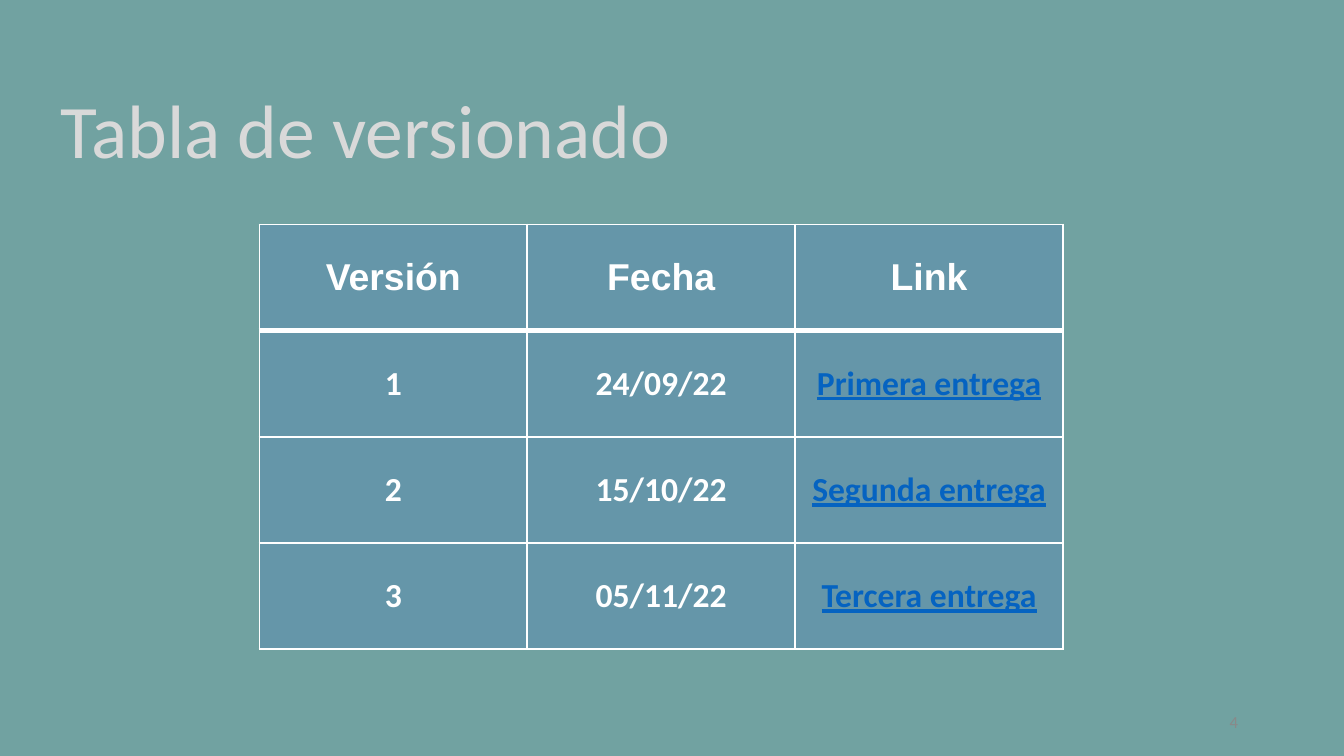
from lxml.etree import SubElement
from pptx import Presentation
from pptx.dml.color import RGBColor
from pptx.enum.text import MSO_ANCHOR as Anchor, PP_ALIGN as Align
from pptx.oxml import parse_xml
from pptx.oxml.ns import nsdecls, qn
from pptx.util import Inches, Pt

WHITE = "FFFFFF"
LINK = "0563C1"
ROWS = [
    ("Versión", "Fecha", "Link"),
    ("1", "24/09/22", "Primera entrega"),
    ("2", "15/10/22", "Segunda entrega"),
    ("3", "05/11/22", "Tercera entrega"),
]


def rgb(value):
    return RGBColor.from_string(value)


class Deck:
    """Holds the style and the current slide, and adds elements to it."""

    font = "Calibri"
    header_font = "Arial"
    cell_fill = "5A8AB3"

    def __init__(self, width, height):
        self.prs = Presentation()
        self.prs.slide_width, self.prs.slide_height = Inches(width), Inches(height)
        self.s = self.prs.slides.add_slide(self.prs.slide_layouts[6])

    def paint(self, fill, color, opacity, element):
        fill.solid()
        fill.fore_color.rgb = rgb(color)
        clr = next(element.iter(qn("a:srgbClr")))
        SubElement(clr, qn("a:alpha"), val=str(opacity * 1000))

    def background(self, color, opacity):
        self.paint(self.s.background.fill, color, opacity, self.s.element)

    def style(self, p, size, color, name=None, bold=False, align=Align.LEFT):
        p.alignment = align
        p.font.name, p.font.size = name or self.font, Pt(size)
        p.font.bold, p.font.color.rgb = bold, rgb(color)

    def text(self, text, box, size, color, align=Align.LEFT, spacing=1.0):
        tf = self.s.shapes.add_textbox(*map(Inches, box)).text_frame
        tf.word_wrap = True
        tf.vertical_anchor = Anchor.MIDDLE
        p = tf.paragraphs[0]
        p.text, p.line_spacing = text, spacing
        self.style(p, size, color, align=align)

    def borders(self, cell, top, bottom):
        tc_pr = cell._tc.get_or_add_tcPr()
        widths = {"lnL": 1, "lnR": 1, "lnT": top, "lnB": bottom}
        for i, (tag, width) in enumerate(widths.items()):
            tc_pr.insert(i, parse_xml(
                f'<a:{tag} {nsdecls("a")} w="{Pt(width)}"><a:solidFill>'
                f'<a:srgbClr val="{WHITE}"/></a:solidFill></a:{tag}>'))

    def table(self, rows, left, top, width, height):
        n_rows, n_cols = len(rows), len(rows[0])
        table = self.s.shapes.add_table(
            n_rows, n_cols, Inches(left), Inches(top),
            Inches(width), Inches(height)).table
        for i, row in enumerate(rows):
            for j, text in enumerate(row):
                header, link = i == 0, i > 0 and j == n_cols - 1
                cell = table.cell(i, j)
                cell.vertical_anchor = Anchor.MIDDLE
                self.paint(cell.fill, self.cell_fill, 48, cell._tc)
                self.borders(cell, 3 if i == 1 else 1, 3 if header else 1)
                p = cell.text_frame.paragraphs[0]
                p.text = text
                self.style(p, 20 if header else 18, LINK if link else WHITE,
                           self.header_font if header else self.font,
                           True, Align.CENTER)
                p.font.underline = link


def main():
    deck = Deck(10, 10 * 9 / 16)
    deck.background("599291", 85)
    deck.text("Tabla de versionado", (0.35, 0.56, 9.32, 0.87), 40.5, "D9D9D9", spacing=0.9)
    deck.table(ROWS, 1.93, 1.67, 5.98, 3.16)
    deck.text("4", (7.06, 5.22, 2.25, 0.3), 9, "898989", Align.RIGHT)
    deck.prs.save("out.pptx")


if __name__ == "__main__":
    main()
